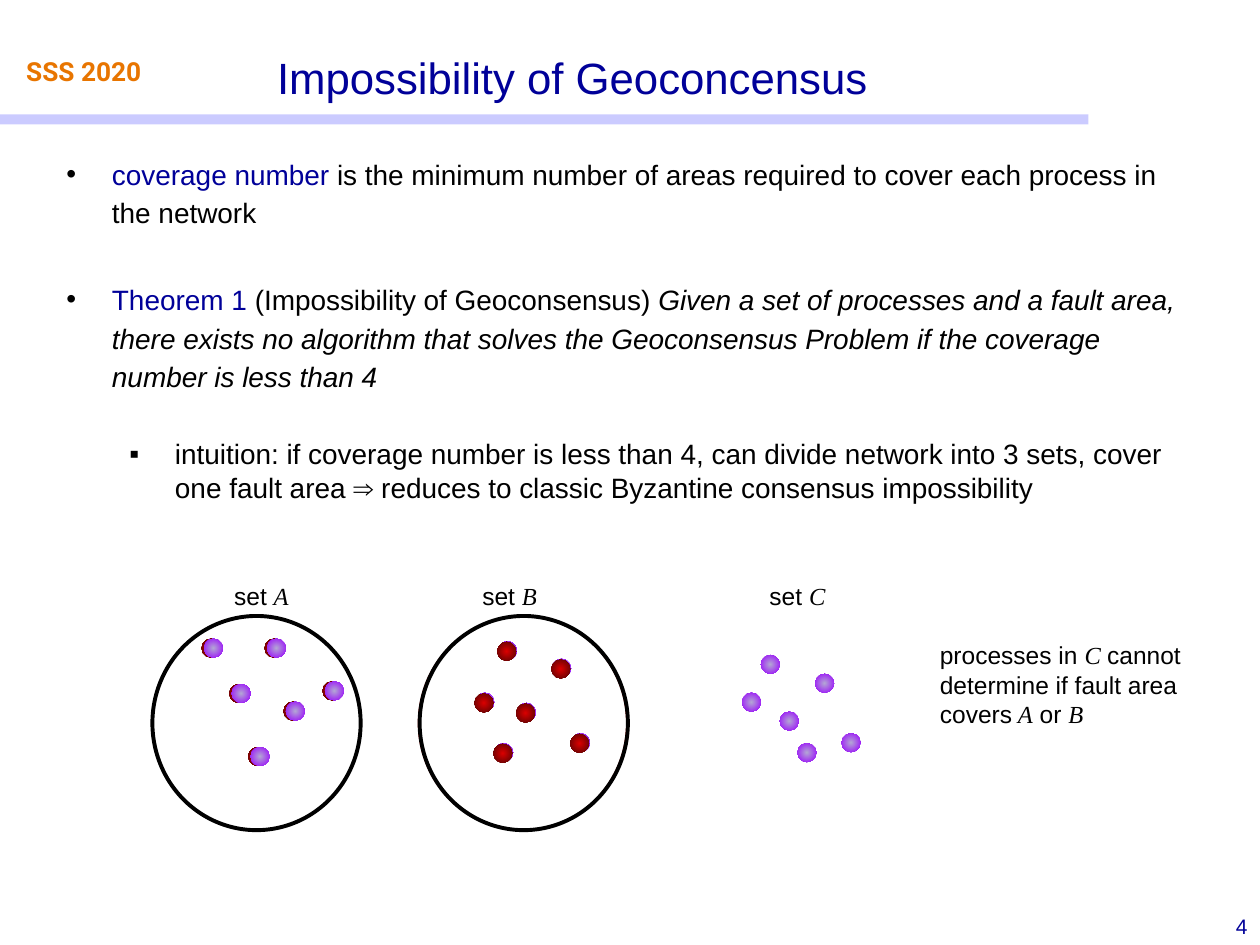
import pptx
import pptx.util
import pptx.dml.color
import pptx.enum.shapes
import pptx.enum.text
import pptx.oxml
from lxml import etree

Pt = pptx.util.Pt
OVAL = pptx.enum.shapes.MSO_SHAPE.OVAL
ALIGN = pptx.enum.text.PP_ALIGN
ANCHOR = pptx.enum.text.MSO_ANCHOR
NS = "http://schemas.openxmlformats.org/drawingml/2006/main"
NAVY, BLACK = "000099", "000000"
RED, VIOLET = ("DB0000", "540303"), ("B4A7D6", "9900FF")
SERIF = "Times New Roman"
DOT = 10.8
RING = (119, 122.4)


def rgb(code):
    """Turn a hex string into a colour."""
    return pptx.dml.color.RGBColor.from_string(code)


def text(slide, box, inset=7.2):
    """Add a wrapping text box and return its frame."""
    frame = slide.shapes.add_textbox(*map(Pt, box)).text_frame
    frame.word_wrap = True
    frame.margin_left = frame.margin_right = Pt(7.2)
    frame.margin_top = frame.margin_bottom = Pt(inset)
    return frame


def write(para, words, size, color=BLACK, font="Arial", bold=False, slant=False):
    """Add one run to a paragraph."""
    run = para.add_run()
    run.text = words
    run.font.size = Pt(size)
    run.font.name = font
    run.font.bold = bold
    run.font.italic = slant
    run.font.color.rgb = rgb(color)


def bullet(para, mark, left):
    """Give a paragraph a black bullet and a hanging indent."""
    props = para._p.get_or_add_pPr()
    props.set("marL", str(Pt(left)))
    props.set("indent", str(Pt(-26)))
    tint = etree.SubElement(props, f"{{{NS}}}buClr")
    etree.SubElement(tint, f"{{{NS}}}srgbClr", val=BLACK)
    etree.SubElement(props, f"{{{NS}}}buFont", typeface="Arial")
    etree.SubElement(props, f"{{{NS}}}buChar", char=mark)


def ring(slide, left, top, color, width):
    """Draw the outline of a fault area."""
    shape = slide.shapes.add_shape(OVAL, Pt(left), Pt(top), *map(Pt, RING))
    shape.shadow.inherit = False
    shape.fill.background()
    shape.line.color.rgb = rgb(color)
    shape.line.width = Pt(width)


def dots(slide, left, top, spots, shades):
    """Draw processes with a radial gradient at the given spots."""
    stops = "".join(
        f'<a:gs pos="{pos}"><a:srgbClr val="{shade}"/></a:gs>'
        for pos, shade in zip((0, 100000), shades))
    grad = (f'<a:gradFill xmlns:a="{NS}"><a:gsLst>{stops}</a:gsLst><a:path path="circle">'
            '<a:fillToRect l="50000" t="50000" r="50000" b="50000"/></a:path></a:gradFill>')
    for x, y in spots:
        shape = slide.shapes.add_shape(OVAL, Pt(left + x), Pt(top + y), Pt(DOT), Pt(DOT))
        shape.shadow.inherit = False
        shape.line.fill.background()
        shape._element.spPr.find(f"{{{NS}}}prstGeom").addnext(pptx.oxml.parse_xml(grad))


def label(slide, left, top, name):
    """Name a set above its processes."""
    para = text(slide, (left, top - 27.4, 49, 36.7)).paragraphs[0]
    write(para, "set ", 14)
    write(para, name, 14, font=SERIF, slant=True)


def header(slide, left, top, width):
    """Place the rule, the event name and the title."""
    bar = slide.shapes.add_shape(
        pptx.enum.shapes.MSO_SHAPE.RECTANGLE, Pt(left), Pt(top + 65.3), Pt(width), Pt(5.8))
    bar.shadow.inherit = False
    bar.line.fill.background()
    bar.fill.solid()
    bar.fill.fore_color.rgb = rgb("9999FF")
    tint = bar._element.spPr.find(f".//{{{NS}}}srgbClr")
    etree.SubElement(tint, f"{{{NS}}}alpha", val="50000")

    event = text(slide, (left + 7.9, top + 7.2, 103.7, 52.6)).paragraphs[0]
    event.line_spacing = 1.96
    event.space_before = Pt(11)
    write(event, "SSS 2020", 15, "E87500", "Roboto", bold=True)

    frame = text(slide, (left + 36, top + 24.5, 581.8, 38.2), 3.6)
    frame.vertical_anchor = ANCHOR.BOTTOM
    title = frame.paragraphs[0]
    title.alignment = ALIGN.CENTER
    title.line_spacing = 1.1
    write(title, "Impossibility of Geoconcensus", 25, NAVY)


def body(slide, box):
    """Write the definition, the theorem and the intuition."""
    frame = text(slide, box, 3.6)
    cover = frame.paragraphs[0]
    claim, hint = frame.add_paragraph(), frame.add_paragraph()
    for para, mark, left, gap, pitch in (
            (cover, "•", 36, 3.2, 1.15), (claim, "•", 36, 27.4, 1.15), (hint, "▪", 72, 25, 1)):
        para.line_spacing = pitch
        para.space_before = Pt(gap)
        bullet(para, mark, left)
    hint.level = 1
    write(cover, "coverage number", 16, NAVY)
    write(cover, " is the minimum number of areas required to cover each process in the network", 16)
    write(claim, "Theorem 1", 16, NAVY)
    write(claim, " (Impossibility of Geoconsensus) ", 16)
    write(claim, "Given a set of processes and a fault area, there exists no algorithm that solves "
          "the Geoconsensus Problem if the coverage number is less than 4", 16, slant=True)
    write(hint, "intuition: if coverage number is less than 4, can divide network into 3 sets, "
          "cover one fault area ⇒ reduces to classic Byzantine consensus impossibility", 16)


def first(slide, left, top):
    """Draw set A, with violet processes over red ones."""
    spots = ((28.1, 13), (64.1, 13), (43.9, 38.9), (74.9, 49), (54.7, 74.9), (97.2, 37.4))
    ring(slide, left, top, BLACK, 2.25)
    dots(slide, left, top, spots, RED)
    dots(slide, left + 1.4, top, spots, VIOLET)
    label(slide, left + 39.6, top, "A")


def second(slide, left, top):
    """Draw set B, with red processes over violet ones."""
    spots = ((56.2, 49.7), (32.4, 43.9), (45.4, 14.4), (76.3, 24.5), (43.2, 72.7), (87.1, 67))
    ring(slide, left, top, "FF0000", 0.75)
    dots(slide, left, top, spots, VIOLET)
    dots(slide, left - 0.5, top + 0.4, spots, RED)
    ring(slide, left + 0.6, top, BLACK, 2.25)
    label(slide, left + 29.3, top, "B")


def third(slide, left, top):
    """Draw set C, which no fault area covers."""
    spots = ((0, 43.9), (56.9, 67), (10.8, 22.3), (41.8, 33.1), (21.6, 54.7), (31.7, 72.7))
    dots(slide, left, top, spots, VIOLET)
    label(slide, left + 8.6, top, "C")


def remark(slide, box):
    """Write the remark beside the sets."""
    para = text(slide, box).paragraphs[0]
    write(para, "processes in ", 14)
    write(para, "C ", 14, font=SERIF, slant=True)
    write(para, "cannot", 14)
    para.add_line_break()
    write(para, "determine if fault area", 14)
    para.add_line_break()
    write(para, "covers", 14)
    write(para, " A", 14, font=SERIF, slant=True)
    write(para, " or ", 14)
    write(para, "B", 14, font=SERIF, slant=True)


def number(slide, box):
    """Write the slide number."""
    para = text(slide, box, 3.6).paragraphs[0]
    para.alignment = ALIGN.RIGHT
    write(para, "4", 12, NAVY)


def main():
    """Build and save the slide."""
    deck = pptx.Presentation()
    deck.slide_width, deck.slide_height = Pt(720), Pt(540)
    slide = deck.slides.add_slide(deck.slide_layouts[6])
    header(slide, 0, 0, 622)
    body(slide, (20.9, 83.5, 661, 208))
    first(slide, 87.1, 352)
    second(slide, 239.2, 352)
    third(slide, 424, 352)
    remark(slide, (530, 358.6, 158.4, 95))
    number(slide, (684, 518.4, 36, 21.6))
    deck.save("out.pptx")


if __name__ == "__main__":
    main()
